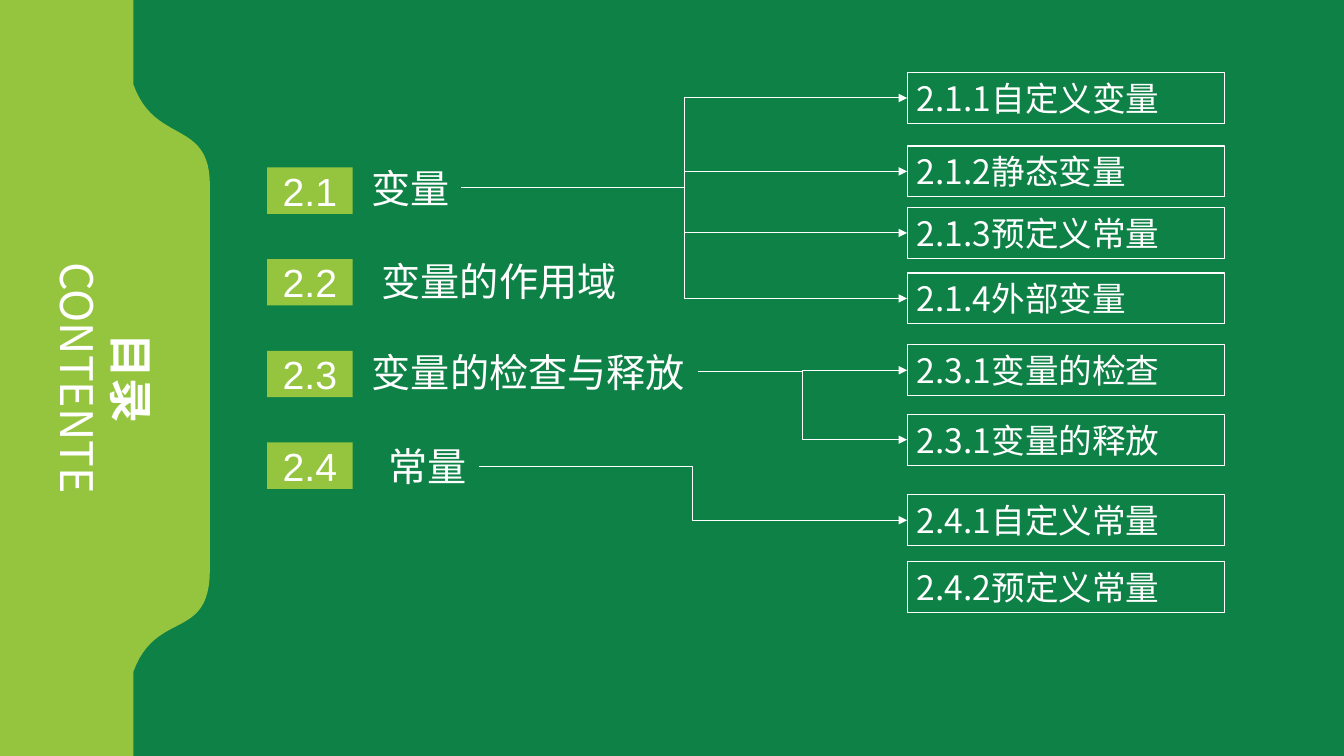
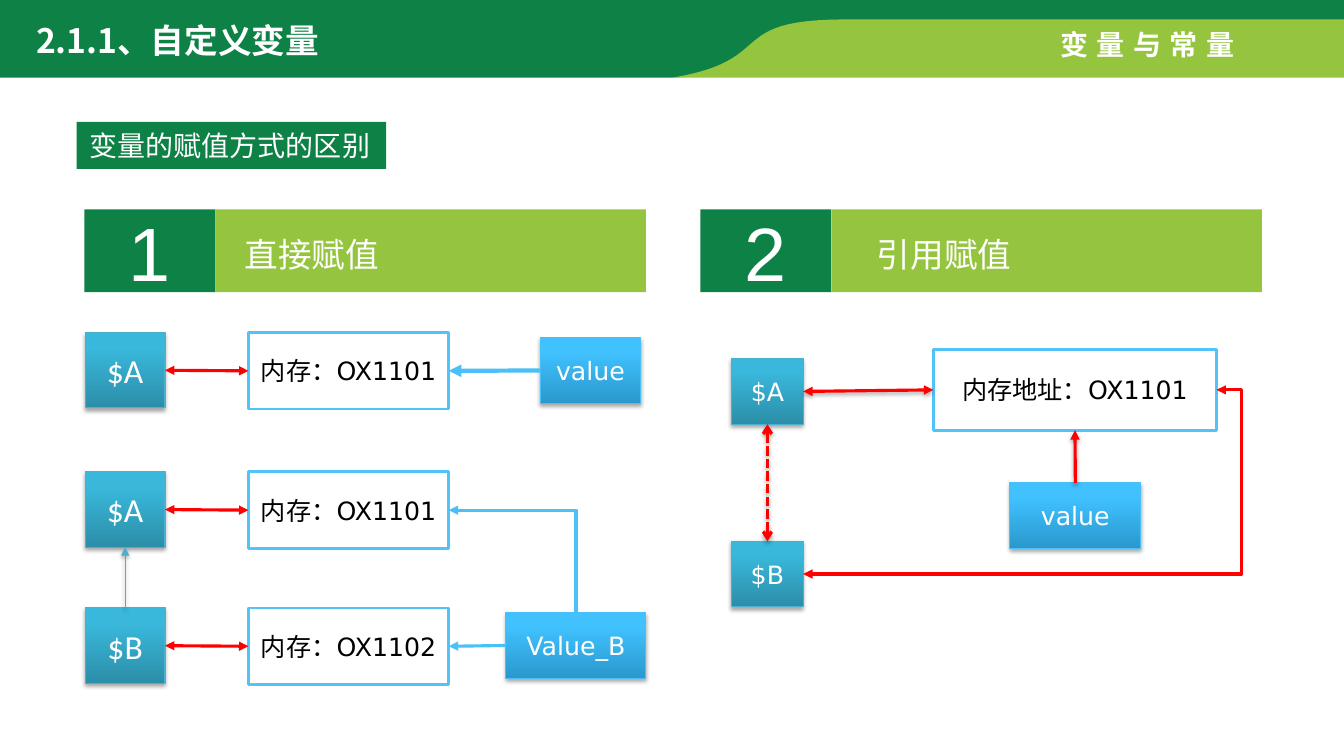
from lxml.etree import SubElement as Sub
from pptx import Presentation
from pptx.dml.color import RGBColor
from pptx.enum.dml import MSO_LINE
from pptx.enum.shapes import MSO_CONNECTOR as WIRE, MSO_SHAPE as SHAPE
from pptx.enum.text import MSO_ANCHOR as ANCHOR, MSO_AUTO_SIZE as FIT, PP_ALIGN as ALIGN
from pptx.oxml.ns import qn
from pptx.util import Cm, Pt

WIDE, HIGH = 33.87, 19.05
GREEN, LIME, WHITE, BLACK = "0E8146", "95C53E", "FFFFFF", "000000"
RED, SKY, EDGE, TEAL = "FF0000", "4BC0F8", "51C3F9", "49B1CE"
TEAL_FADE, SKY_FADE = ("2C8EA9", "39B8DB"), ("2A98CD", "41C2FF")
NOTO, ARIAL, DEJA = "Noto Sans CJK SC", "Arial", "DejaVu Sans"
TRI = "triangle"
BOTH = (TRI, TRI)
TOP, LEFT, LOW, RIGHT = range(4)

TOPICS = [
    ("2.1", "变量", 9.12, 4.01, 2.51, 4,
     [("2.1.1自定义变量", 1.83), ("2.1.2静态变量", 3.68),
      ("2.1.3预定义常量", 5.23), ("2.1.4外部变量", 6.88)]),
    ("2.2", "变量的作用域", 9.37, 6.35, 6.5, 0, []),
    ("2.3", "变量的检查与释放", 9.12, 8.64, 8.48, 2,
     [("2.3.1变量的检查", 8.69), ("2.3.1变量的释放", 10.44)]),
    ("2.4", "常量", 9.55, 11.02, 2.51, 1,
     [("2.4.1自定义常量", 12.47), ("2.4.2预定义常量", 14.15)]),
]


def hue(code):
    return RGBColor.from_string(code)


def write(shape, text, size, face, color=WHITE, bold=False, align=ALIGN.LEFT,
          anchor=ANCHOR.TOP, wrap=True, pad=(0.25, 0.13), gap=None):
    frame = shape.text_frame
    frame.text = text
    frame.word_wrap = wrap
    frame.auto_size = FIT.NONE if wrap else FIT.SHAPE_TO_FIT_TEXT
    frame.vertical_anchor = anchor
    frame.margin_left = frame.margin_right = Cm(pad[0])
    frame.margin_top = frame.margin_bottom = Cm(pad[1])
    for para in frame.paragraphs:
        para.alignment = align
        font = para.font
        font.size, font.name, font.bold = Pt(size), face, bold
        font.color.rgb = hue(color)
        props = para._p.pPr.find(qn("a:defRPr"))
        Sub(props, qn("a:ea")).set("typeface", NOTO)
        if gap:
            props.set("spc", str(gap * 100))


def glow(effects):
    cast = Sub(effects, qn("a:outerShdw"), blurRad=str(Pt(3.1)),
               dist=str(Pt(1.8)), dir="5400000", rotWithShape="0")
    tint = Sub(cast, qn("a:srgbClr"), val=BLACK)
    Sub(tint, qn("a:alpha"), val="35000")


def paint(shape, fill, edge=None, width=0.75):
    shape.shadow.inherit = False
    if fill:
        shape.fill.solid()
        shape.fill.fore_color.rgb = hue(fill)
    else:
        shape.fill.background()
    if edge:
        shape.line.color.rgb = hue(edge)
        shape.line.width = Pt(width)
    else:
        shape.line.fill.background()


def block(slide, box, fill, edge=None, width=0.75):
    shape = slide.shapes.add_shape(SHAPE.RECTANGLE, *map(Cm, box))
    paint(shape, fill, edge, width)
    return shape


def label(slide, box, text, size, face, **style):
    shape = slide.shapes.add_textbox(*map(Cm, box))
    write(shape, text, size, face, **style)
    return shape


def badge(slide, box, text, size, face, fill, **style):
    shape = block(slide, box, fill)
    write(shape, text, size, face, align=ALIGN.CENTER, anchor=ANCHOR.MIDDLE, **style)


def node(slide, box, text, fade, edge, size=18, face=DEJA):
    shape = block(slide, box, None, edge)
    shape.fill.gradient()
    shape.fill.gradient_angle = 90
    for stop, color, place in zip(shape.fill.gradient_stops, fade, (0, 0.8)):
        stop.color.rgb = hue(color)
        stop.position = place
    glow(shape._element.spPr.find(qn("a:effectLst")))
    write(shape, text, size, face, align=ALIGN.CENTER, anchor=ANCHOR.MIDDLE)
    return shape


def store(slide, box, text):
    shape = block(slide, box, WHITE, EDGE, 2)
    write(shape, text, 18, DEJA, BLACK, align=ALIGN.CENTER, anchor=ANCHOR.MIDDLE)
    return shape


def link(slide, start, side, end, face, color, width=2.25, ends=(None, TRI),
         kind=WIRE.STRAIGHT, dash=None, shade=False):
    wire = slide.shapes.add_connector(kind, 0, 0, 0, 0)
    wire.begin_connect(start, side)
    wire.end_connect(end, face)
    wire.line.color.rgb = hue(color)
    wire.line.width = Pt(width)
    if dash:
        wire.line.dash_style = dash
    props = wire._element.spPr
    for tag, tip in zip(("a:headEnd", "a:tailEnd"), ends):
        if tip:
            Sub(props.find(qn("a:ln")), qn(tag), type=tip)
    effects = Sub(props, qn("a:effectLst"))
    if shade:
        glow(effects)
    return props.find(qn("a:prstGeom"))


def curve(start, bend):
    spots = [start, bend[:2], bend[2:4], bend[4:]]
    for step in range(1, 25):
        t = step / 24
        rates = ((1 - t) ** 3, 3 * t * (1 - t) ** 2, 3 * t * t * (1 - t), t ** 3)
        yield tuple(sum(r * s[axis] for r, s in zip(rates, spots)) for axis in (0, 1))


def outline(slide, fill, start, *steps):
    dots = [start]
    for step in steps:
        dots.extend(curve(dots[-1], step) if len(step) == 6 else [step])
    spots = [(Cm(x), Cm(y)) for x, y in dots]
    pen = slide.shapes.build_freeform(*spots[0])
    pen.add_line_segments(spots[1:], close=True)
    paint(pen.convert_to_shape(), fill)


def begin(deck, back):
    slide = deck.slides.add_slide(deck.slide_layouts[5])
    slide.background.fill.solid()
    slide.background.fill.fore_color.rgb = hue(back)
    return slide


def head(slide, box, text, size, **style):
    title = slide.shapes.title
    title.left, title.top, title.width, title.height = map(Cm, box)
    write(title, text, size, NOTO, bold=True, **style)
    slide.shapes._spTree.append(title._element)
    return title


def agenda(deck):
    slide = begin(deck, GREEN)
    outline(slide, LIME, (0, 0), (3.36, 0), (3.36, 2.12),
            (3.9, 3.67, 5.31, 2.98, 5.29, 4.7), (5.29, 14.35),
            (5.29, 16.18, 3.94, 15.34, 3.36, 16.93), (3.36, HIGH), (0, HIGH))
    title = head(slide, (-0.99, 8.03, 7.26, 3), "目录\nCONTENTE", 32, align=ALIGN.CENTER)
    title.rotation = 90
    title.text_frame.paragraphs[1].font.bold = False
    for row, (code, name, left, top, width, wires, parts) in enumerate(TOPICS):
        badge(slide, (6.73, 4.22 + 2.31 * row, 2.16, 1.17), code, 28, ARIAL, LIME)
        topic = label(slide, (left, top, width, 1.45), name, 28, ARIAL, wrap=False)
        for rank, (text, high) in enumerate(parts):
            part = block(slide, (22.86, high, 8, 1.28), None, WHITE)
            write(part, text, 24, NOTO, anchor=ANCHOR.MIDDLE)
            if rank < wires:
                link(slide, topic, RIGHT, part, LEFT, WHITE, 0.75, kind=WIRE.ELBOW)


def direct(slide):
    names, cells, tops = ("$A", "$A", "$B"), ("OX1101", "OX1101", "OX1102"), (8.38, 11.89, 15.32)
    keys, stores = [], []
    for name, cell, top in zip(names, cells, tops):
        keys.append(node(slide, (2.15, top, 2.01, 1.9), name, TEAL_FADE, TEAL, 24, "Calibri"))
        stores.append(store(slide, (6.26, top, 5.05, 1.93), "内存：" + cell))
        link(slide, keys[-1], RIGHT, stores[-1], LEFT, RED, ends=BOTH)
    value = node(slide, (13.61, 8.51, 2.54, 1.65), "value", SKY_FADE, SKY)
    other = node(slide, (12.75, 15.44, 3.53, 1.65), "Value_B", SKY_FADE, SKY)
    link(slide, value, LEFT, stores[0], RIGHT, SKY, 3)
    link(slide, other, LEFT, stores[2], RIGHT, SKY)
    bend = link(slide, stores[1], RIGHT, other, TOP, SKY, ends=(TRI, None), kind=WIRE.ELBOW)
    bend.set("prst", "bentConnector2")
    link(slide, keys[2], TOP, keys[1], LOW, TEAL, 0.75, shade=True)


def shared(slide):
    cell = store(slide, (23.52, 8.81, 7.14, 2.03), "内存地址：OX1101")
    first, second = (node(slide, (18.44, top, 1.8, 1.65), name, TEAL_FADE, TEAL)
                     for name, top in (("$A", 9.04), ("$B", 13.64)))
    value = node(slide, (25.45, 12.17, 3.3, 1.65), "value", SKY_FADE, SKY)
    link(slide, second, TOP, first, LOW, RED, ends=("arrow", "arrow"),
         dash=MSO_LINE.SQUARE_DOT, shade=True)
    link(slide, first, RIGHT, cell, LEFT, RED, ends=BOTH, shade=True)
    link(slide, value, TOP, cell, LOW, RED, shade=True)
    bend = link(slide, second, RIGHT, cell, RIGHT, RED, ends=BOTH, kind=WIRE.ELBOW)
    Sub(bend.find(qn("a:avLst")), qn("a:gd"), name="adj1", fmla="val 106100")


def assign(deck):
    slide = begin(deck, WHITE)
    outline(slide, GREEN, (0, 0), (WIDE, 0), (WIDE, 0.62), (21, 0.62), (20.54, 0.7),
            (18.46, 1.12, 19.56, 1.95, 16.64, 1.96), (0, 1.96))
    outline(slide, LIME, (21.31, 0.49), (WIDE, 0.49), (WIDE, 1.96), (16.93, 1.96),
            (19.64, 1.52, 18.21, 0.49, 21.31, 0.49))
    head(slide, (0.66, 0.38, 9.58, 1.27), "2.1.1、自定义变量", 24)
    label(slide, (26.47, 0.56, 5.16, 1.12), "变量与常量", 20, ARIAL,
          bold=True, wrap=False, gap=6)
    topic = block(slide, (1.93, 3.07, 7.8, 1.19), GREEN)
    write(topic, "变量的赋值方式的区别", 20, ARIAL, wrap=False, pad=(0.33, 0.18))
    for code, text, left, inset in (("1", "直接赋值", 2.13, 3.71), ("2", "引用赋值", 17.65, 4.12)):
        badge(slide, (left, 5.28, 3.3, 2.08), code, 54, ARIAL, GREEN)
        block(slide, (left + 3.3, 5.28, 10.85, 2.08), LIME)
        label(slide, (left + inset, 5.72, 9.22, 1.37), text, 24, NOTO, pad=(0.33, 0.18))
    direct(slide)
    shared(slide)


def main():
    deck = Presentation()
    deck.slide_width, deck.slide_height = Cm(WIDE), Cm(HIGH)
    agenda(deck)
    assign(deck)
    deck.save("out.pptx")


if __name__ == "__main__":
    main()
